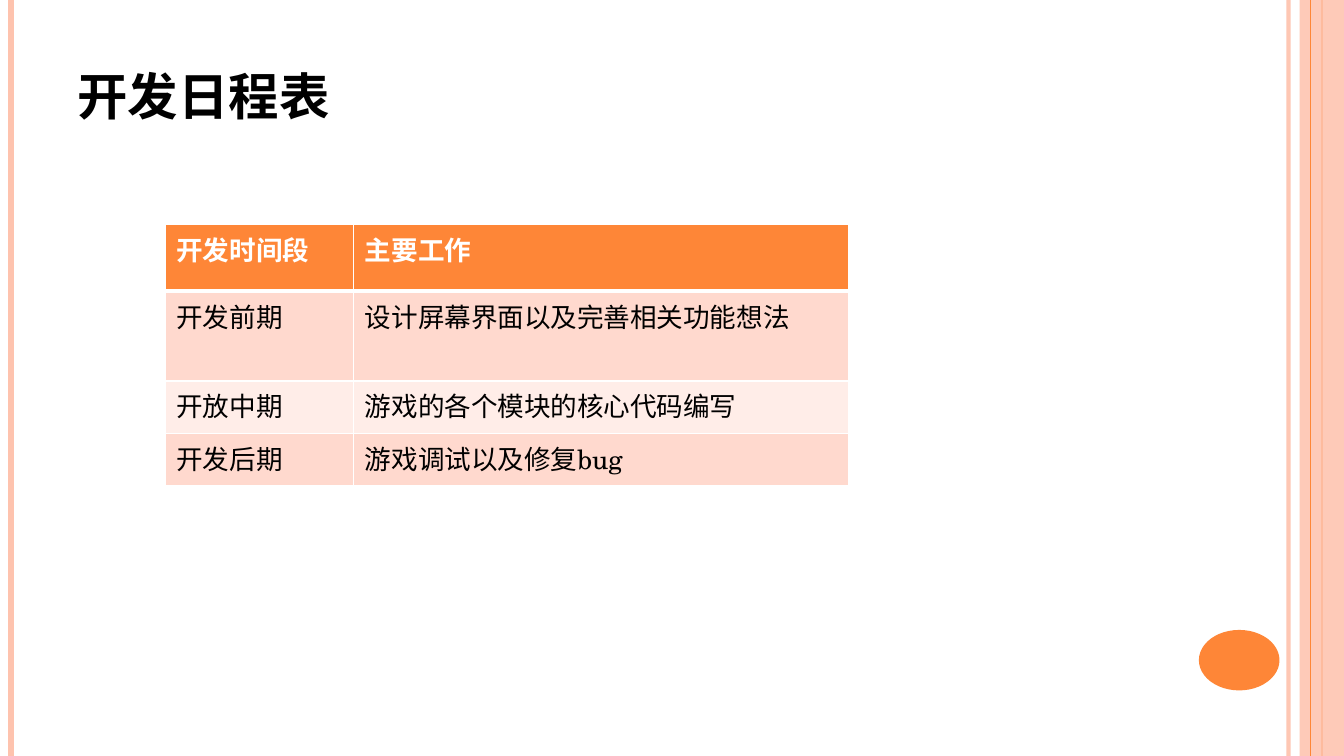
from lxml import etree
from pptx import Presentation
from pptx.dml.color import RGBColor
from pptx.enum.shapes import MSO_CONNECTOR, MSO_SHAPE
from pptx.oxml.ns import qn
from pptx.util import Inches, Pt

STRAIGHT = MSO_CONNECTOR.STRAIGHT
RECTANGLE = MSO_SHAPE.RECTANGLE
OVAL = MSO_SHAPE.OVAL
WIDTH, HEIGHT = Inches(13.33), Inches(7.5)
FONT = "TeX Gyre Schola"
ORANGE, PEACH, WHITE, BLACK = "FE8637", "FEC3AE", "FFFFFF", "000000"
BANDS = ("FFD9CE", "FFEDE8")
COLUMN_SHARES = (14.03, 36.83)
ROW_SHARES = (8.8, 11.87, 6.93, 6.93)
SCHEDULE = (
    ("开发时间段", "主要工作"),
    ("开发前期", "设计屏幕界面以及完善相关功能想法"),
    ("开放中期", "游戏的各个模块的核心代码编写"),
    ("开发后期", "游戏调试以及修复bug"),
)


def across(percent):
    return round(WIDTH * percent / 100)


def down(percent):
    return round(HEIGHT * percent / 100)


def area(left, top, width, height):
    return across(left), down(top), across(width), down(height)


def paint(color_format, color, opacity=100):
    color_format.rgb = RGBColor.from_string(color)
    if opacity < 100:
        srgb = color_format._xFill.find(qn("a:srgbClr"))
        etree.SubElement(srgb, qn("a:alpha"), val=str(opacity * 1000))


def add_rule(page, left, color, weight, opacity=100):
    rule = page.shapes.add_connector(STRAIGHT, across(left), 0, across(left), HEIGHT)
    rule.line.width = Pt(weight)
    rule.line.fill.solid()
    paint(rule.line.fill.fore_color, color, opacity)
    etree.SubElement(rule._element.spPr, qn("a:effectLst"))


def add_panel(page, kind, box, color, opacity=100):
    panel = page.shapes.add_shape(kind, *area(*box))
    panel.shadow.inherit = False
    panel.line.fill.background()
    panel.fill.solid()
    paint(panel.fill.fore_color, color, opacity)


def write(frame, text, size, color, bold):
    span = frame.paragraphs[0].add_run()
    span.text = text
    span.font.name = FONT
    span.font.size = Pt(size)
    span.font.bold = bold
    paint(span.font.color, color)


def add_title(page, box, text):
    title = page.shapes.add_textbox(*area(*box))
    title.text_frame.word_wrap = False
    write(title.text_frame, text, 36, BLACK, True)


def add_borders(cell, top, bottom):
    properties = cell._tc.get_or_add_tcPr()
    weights = {"a:lnL": 1, "a:lnR": 1, "a:lnT": top, "a:lnB": bottom}
    for index, (side, weight) in enumerate(weights.items()):
        border = etree.Element(qn(side), w=str(Pt(weight)))
        fill = etree.SubElement(border, qn("a:solidFill"))
        etree.SubElement(fill, qn("a:srgbClr"), val=WHITE)
        properties.insert(index, border)


def fill_cell(cell, text, row):
    header = row == 0
    cell.margin_left = cell.margin_right = Inches(0.11)
    cell.margin_top = cell.margin_bottom = Inches(0.05)
    cell.fill.solid()
    paint(cell.fill.fore_color, ORANGE if header else BANDS[(row - 1) % 2])
    add_borders(cell, 3 if row == 1 else 1, 3 if header else 1)
    write(cell.text_frame, text, 19, WHITE if header else BLACK, header)


def add_schedule(page, left, top):
    box = area(left, top, sum(COLUMN_SHARES), sum(ROW_SHARES))
    table = page.shapes.add_table(len(SCHEDULE), len(COLUMN_SHARES), *box).table
    for column, share in zip(table.columns, COLUMN_SHARES):
        column.width = across(share)
    for row, share in zip(table.rows, ROW_SHARES):
        row.height = down(share)
    for row, texts in enumerate(SCHEDULE):
        for column, text in enumerate(texts):
            fill_cell(table.cell(row, column), text, row)


def main():
    deck = Presentation()
    deck.slide_width, deck.slide_height = WIDTH, HEIGHT
    page = deck.slides.add_slide(deck.slide_layouts[6])
    add_rule(page, 95.87, PEACH, 3, 93)
    add_rule(page, 0.83, PEACH, 4.5)
    add_rule(page, 98.35, ORANGE, 1.5)
    add_panel(page, RECTANGLE, (96.7, 0, 3.3, 100), PEACH, 87)
    add_rule(page, 97.52, ORANGE, 0.75)
    add_panel(page, OVAL, (89.2, 83.33, 6, 8), ORANGE)
    add_title(page, (5.03, 8, 20.56, 9.47), "开发日程表")
    add_schedule(page, 12.3, 29.73)
    deck.save("out.pptx")


if __name__ == "__main__":
    main()
